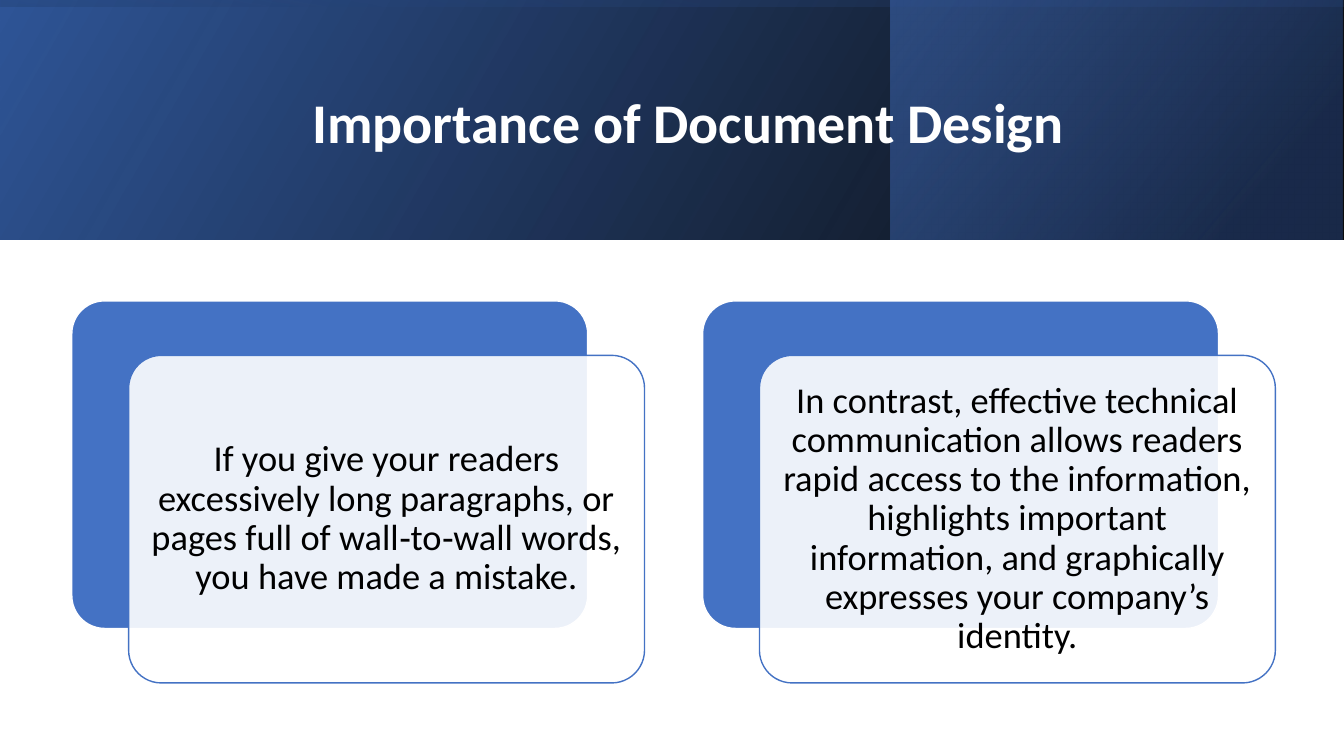
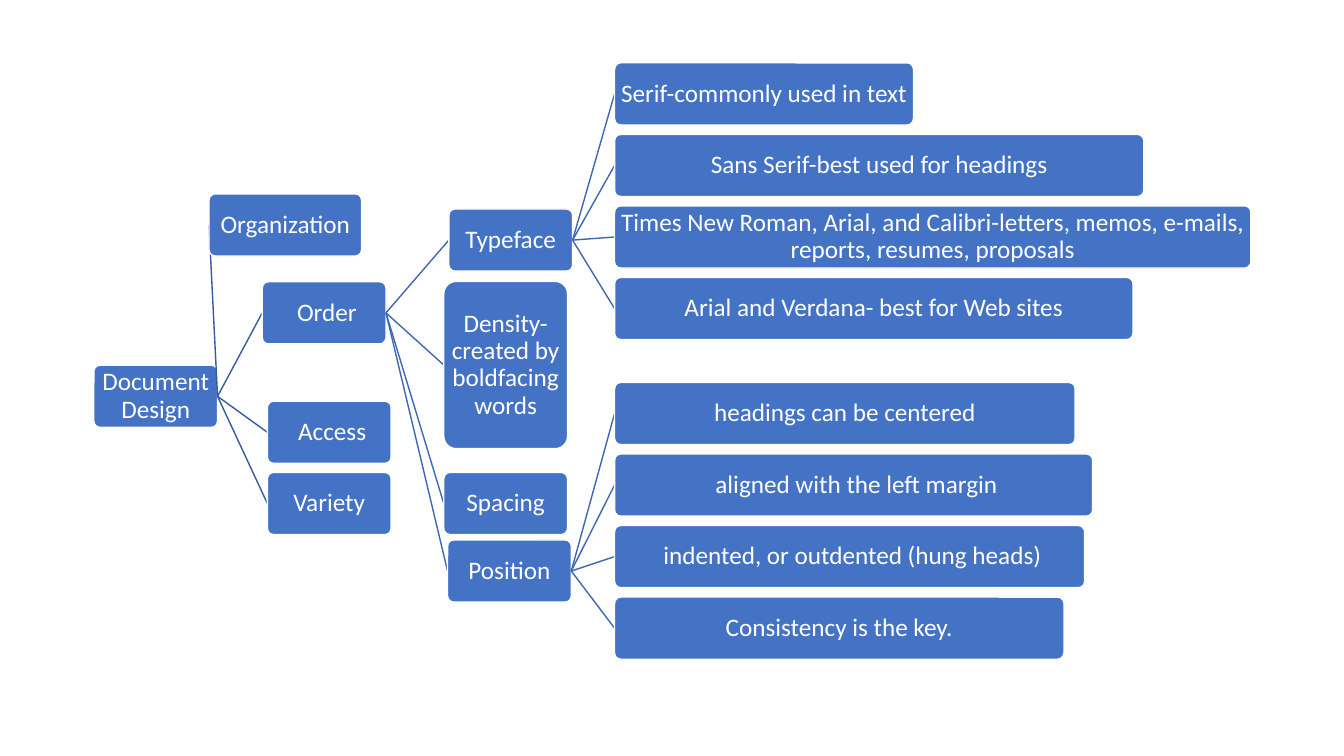
from dataclasses import dataclass, field
from typing import List, NamedTuple, Tuple

from lxml import etree
from pptx import Presentation
from pptx import util as u
from pptx.dml.color import RGBColor
from pptx.enum import shapes as s, text as t
from pptx.oxml import ns


@dataclass(frozen=True)
class Theme:
    font: str = "Calibri"
    blue: str = "4472C4"
    deep_blue: str = "2F5597"
    navy: str = "203864"
    black: str = "000000"
    white: str = "FFFFFF"
    branch: str = "365B9D"
    twig: str = "3E67B2"
    title_size: float = 40
    card_size: float = 26
    node_size: float = 18
    line_width: float = 1
    line_spacing: float = 0.9
    corner: float = 0.1


THEME = Theme()
SLIDE_WIDTH, SLIDE_HEIGHT = 960, 540
BAND_HEIGHT = 171


class Box(NamedTuple):
    left: float
    top: float
    width: float
    height: float

    def lengths(self) -> list:
        return [u.Pt(value) for value in self]

    def moved(self, right: float, down: float) -> "Box":
        return Box(self.left + right, self.top + down, self.width, self.height)


class Stop(NamedTuple):
    position: int
    color: str
    opacity: int


class Band(NamedTuple):
    box: Box
    angle: int
    stops: Tuple[Stop, Stop]
    rotation: int = 0


@dataclass
class Node:
    label: str
    left: float
    top: float
    width: float = 88.4
    height: float = 44.4
    children: List["Node"] = field(default_factory=list)

    @property
    def middle(self) -> float:
        return self.top + self.height / 2


def rgb(color: str) -> RGBColor:
    return RGBColor.from_string(color)


def add_color(parent, color: str, opacity: int) -> None:
    element = etree.SubElement(parent, ns.qn("a:srgbClr"), val=color)
    if opacity < 100:
        etree.SubElement(element, ns.qn("a:alpha"), val=str(opacity * 1000))


def write(shape, content: str, size: float, color: str, inset: float, bold: bool = False) -> None:
    frame = shape.text_frame
    frame.word_wrap = True
    frame.vertical_anchor = t.MSO_ANCHOR.MIDDLE
    frame.margin_left = frame.margin_right = u.Pt(inset)
    frame.margin_top = frame.margin_bottom = u.Pt(inset)
    frame.text = content
    paragraph = frame.paragraphs[0]
    paragraph.alignment = t.PP_ALIGN.CENTER
    paragraph.line_spacing = THEME.line_spacing
    font = paragraph.runs[0].font
    font.name, font.size, font.bold = THEME.font, u.Pt(size), bold
    font.color.rgb = rgb(color)


def add_panel(slide, box: Box, fill: str, line: str, opacity: int = 100):
    shape = slide.shapes.add_shape(s.MSO_SHAPE.ROUNDED_RECTANGLE, *box.lengths())
    shape.shadow.inherit = False
    shape.adjustments[0] = THEME.corner
    shape.fill.solid()
    shape.fill.fore_color.rgb = rgb(fill)
    if opacity < 100:
        solid = shape._element.spPr.find(ns.qn("a:solidFill"))
        solid.clear()
        add_color(solid, fill, opacity)
    shape.line.color.rgb = rgb(line)
    shape.line.width = u.Pt(THEME.line_width)
    return shape


def add_band(slide, band: Band) -> None:
    shape = slide.shapes.add_shape(s.MSO_SHAPE.RECTANGLE, *band.box.lengths())
    shape.shadow.inherit = False
    shape.line.fill.background()
    shape.rotation = band.rotation
    shape.fill.gradient()
    properties = shape._element.spPr
    properties.find(ns.qn("a:xfrm")).set("flipH", "1")
    gradient = properties.find(ns.qn("a:gradFill"))
    gradient.clear()
    gradient.set("rotWithShape", "1")
    stops = etree.SubElement(gradient, ns.qn("a:gsLst"))
    for stop in band.stops:
        element = etree.SubElement(stops, ns.qn("a:gs"), pos=str(stop.position * 1000))
        add_color(element, stop.color, stop.opacity)
    etree.SubElement(gradient, ns.qn("a:lin"), ang=str(band.angle * 60000), scaled="0")


def add_title(slide, content: str) -> None:
    title = slide.shapes.add_textbox(*Box(108.7, 27.4, 765.4, 123.8).lengths())
    write(title, content, THEME.title_size, THEME.white, 5, bold=True)


def add_card(slide, box: Box, content: str) -> None:
    add_panel(slide, box, THEME.blue, THEME.white)
    front = add_panel(slide, box.moved(40.6, 38.9), THEME.white, THEME.blue, opacity=90)
    write(front, content, THEME.card_size, THEME.black, 7.9)


def add_link(slide, parent: Node, child: Node, color: str) -> None:
    ends = (parent.left + parent.width, parent.middle, child.left, child.middle)
    connector = slide.shapes.add_connector(
        s.MSO_CONNECTOR.STRAIGHT, *[u.Pt(value) for value in ends])
    connector.line.color.rgb = rgb(color)
    connector.line.width = u.Pt(THEME.line_width)
    etree.SubElement(connector._element.spPr, ns.qn("a:effectLst"))


def add_tree(slide, node: Node, depth: int = 0) -> None:
    box = Box(node.left, node.top, node.width, node.height)
    shape = add_panel(slide, box, THEME.blue, THEME.white)
    write(shape, node.label, THEME.node_size, THEME.white, 0.9)
    for child in node.children:
        add_link(slide, node, child, THEME.twig if depth else THEME.branch)
        add_tree(slide, child, depth + 1)


def leaves(top: float, items: List[Tuple[str, float]]) -> List[Node]:
    return [Node(label, 439, top + 51.1 * index, width)
            for index, (label, width) in enumerate(items)]


BANDS = [
    Band(Box(0, 0, SLIDE_WIDTH, BAND_HEIGHT), 330,
         (Stop(0, THEME.black, 96), Stop(100, THEME.deep_blue, 100))),
    Band(Box(636, 0, 323, BAND_HEIGHT), 320,
         (Stop(19, THEME.navy, 68), Stop(100, THEME.blue, 48))),
    Band(Box((SLIDE_WIDTH - BAND_HEIGHT) / 2, (BAND_HEIGHT - SLIDE_WIDTH) / 2,
             BAND_HEIGHT, SLIDE_WIDTH), 350,
         (Stop(23, THEME.deep_blue, 16), Stop(99, THEME.black, 45)), 270),
]

CARDS = [
    "If you give your readers excessively long paragraphs, or pages full of "
    "wall‐to‐wall words, you have made a mistake.",
    "In contrast, effective technical communication allows readers rapid access to the "
    "information, highlights important information, and graphically expresses your "
    "company’s identity.",
]

TYPEFACES = leaves(44.9, [
    ("Serif-commonly used in text", 213.5),
    ("Sans Serif-best used for headings", 378),
    ("Times New Roman, Arial, and Calibri-letters, memos, e-mails, reports, resumes, proposals", 454.5),
    ("Arial and Verdana- best for Web sites", 370.3),
])
POSITIONS = leaves(273.2, [
    ("headings can be centered", 329),
    (" aligned with the left margin", 341.5),
    (" indented, or outdented (hung heads)", 335.8),
    ("Consistency is the key.", 321),
])
ORDER = [
    Node("Typeface", 320.6, 149.3, children=TYPEFACES),
    Node("Density-created by boldfacing words", 317, 201, height=119.5),
    Node("Spacing", 317, 337.5),
    Node("Position", 319.7, 385.7, children=POSITIONS),
]
DOCUMENT_DESIGN = Node("Document Design", 67, 260.9, children=[
    Node("Organization", 149.3, 138.5, 109),
    Node(" Order", 187.3, 201.3, children=ORDER),
    Node(" Access", 191, 286.6),
    Node("Variety", 191, 337.5),
])


def main() -> None:
    presentation = Presentation()
    presentation.slide_width = u.Pt(SLIDE_WIDTH)
    presentation.slide_height = u.Pt(SLIDE_HEIGHT)
    blank = presentation.slide_layouts[6]

    importance = presentation.slides.add_slide(blank)
    for band in BANDS:
        add_band(importance, band)
    add_title(importance, "Importance of Document Design")
    for index, content in enumerate(CARDS):
        add_card(importance, Box(51.3 + 450.6 * index, 214.9, 368.5, 234), content)

    add_tree(presentation.slides.add_slide(blank), DOCUMENT_DESIGN)
    presentation.save("out.pptx")


if __name__ == "__main__":
    main()
